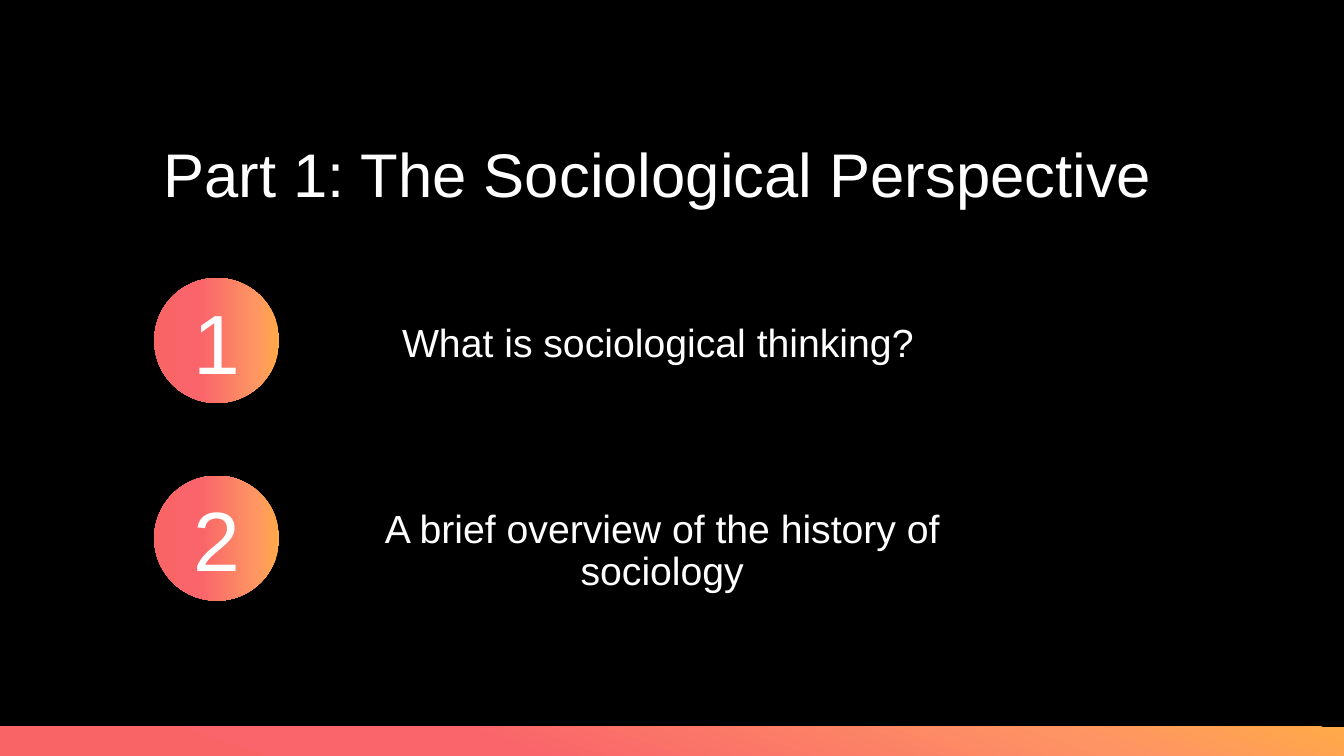
from dataclasses import dataclass

from lxml.etree import SubElement
from pptx import Presentation
from pptx.dml.color import RGBColor
from pptx.enum.shapes import MSO_SHAPE
from pptx.enum.text import MSO_ANCHOR, MSO_AUTO_SIZE, PP_ALIGN
from pptx.oxml.ns import qn
from pptx.shapes.autoshape import Shape
from pptx.slide import Slide
from pptx.util import Pt

FONT = "Arial"
WHITE = "FFFFFF"
BLACK = "000000"
SLIDE_WIDTH = 960
SLIDE_HEIGHT = 540
BAR_HEIGHT = 20.9
CIRCLE_LEFT = 110.2
CIRCLE_SIZE = 89.3
FIRST_CIRCLE_TOP = 198.6
CIRCLE_STEP = 141.2
GRADIENT_STOPS = ((0, "FFAA49"), (21, "FE9364"), (63, "F9656A"), (100, "F96566"))


@dataclass(frozen=True)
class Box:
    left: float
    top: float
    width: float
    height: float


@dataclass(frozen=True)
class Topic:
    text: str
    box: Box


TITLE_BOX = Box(74.2, 108, 792, 38)
TOPICS = (
    Topic("What is sociological thinking?", Box(231.1, 237.3, 477.4, 18)),
    Topic("A brief overview of the history of sociology", Box(262.8, 385, 420.5, 18)),
)


def color(value: str) -> RGBColor:
    return RGBColor.from_string(value)


def write_text(shape: Shape, text: str, size: float, spacing: float = 1.0) -> None:
    frame = shape.text_frame
    frame.word_wrap = True
    frame.auto_size = MSO_AUTO_SIZE.NONE
    frame.vertical_anchor = MSO_ANCHOR.MIDDLE
    paragraph = frame.paragraphs[0]
    paragraph.alignment = PP_ALIGN.CENTER
    paragraph.line_spacing = spacing
    run = paragraph.add_run()
    run.text = text
    run.font.name = FONT
    run.font.size = Pt(size)
    run.font.color.rgb = color(WHITE)


def add_gradient_shape(slide: Slide, kind: MSO_SHAPE, box: Box, angle: int) -> Shape:
    shape = slide.shapes.add_shape(
        kind, Pt(box.left), Pt(box.top), Pt(box.width), Pt(box.height)
    )
    shape.shadow.inherit = False
    shape.line.fill.background()
    shape.fill.gradient()
    gradient = shape._element.spPr.find(qn("a:gradFill"))
    gradient.clear()
    stops = SubElement(gradient, qn("a:gsLst"))
    for position, value in GRADIENT_STOPS:
        stop = SubElement(stops, qn("a:gs"), pos=str(position * 1000))
        SubElement(stop, qn("a:srgbClr"), val=value)
    SubElement(gradient, qn("a:lin"), ang=str(angle * 60000), scaled="0")
    return shape


def add_title(slide: Slide, text: str) -> None:
    title = slide.shapes.title
    title.left, title.top = Pt(TITLE_BOX.left), Pt(TITLE_BOX.top)
    title.width, title.height = Pt(TITLE_BOX.width), Pt(TITLE_BOX.height)
    write_text(title, text, 44, 0.9)


def add_topic(slide: Slide, index: int, topic: Topic) -> None:
    circle_top = FIRST_CIRCLE_TOP + index * CIRCLE_STEP
    circle_box = Box(CIRCLE_LEFT, circle_top, CIRCLE_SIZE, CIRCLE_SIZE)
    circle = add_gradient_shape(slide, MSO_SHAPE.OVAL, circle_box, 180)
    write_text(circle, str(index + 1), 60)
    box = topic.box
    label = slide.shapes.add_textbox(
        Pt(box.left), Pt(box.top), Pt(box.width), Pt(box.height)
    )
    write_text(label, topic.text, 28, 0.9)


def main() -> None:
    presentation = Presentation()
    presentation.slide_width = Pt(SLIDE_WIDTH)
    presentation.slide_height = Pt(SLIDE_HEIGHT)
    slide = presentation.slides.add_slide(presentation.slide_layouts[5])
    slide.background.fill.solid()
    slide.background.fill.fore_color.rgb = color(BLACK)

    add_title(slide, "Part 1: The Sociological Perspective")
    for index, topic in enumerate(TOPICS):
        add_topic(slide, index, topic)
    bar_box = Box(0, SLIDE_HEIGHT - BAR_HEIGHT, SLIDE_WIDTH, BAR_HEIGHT)
    add_gradient_shape(slide, MSO_SHAPE.RECTANGLE, bar_box, 110)

    presentation.save("out.pptx")


if __name__ == "__main__":
    main()
